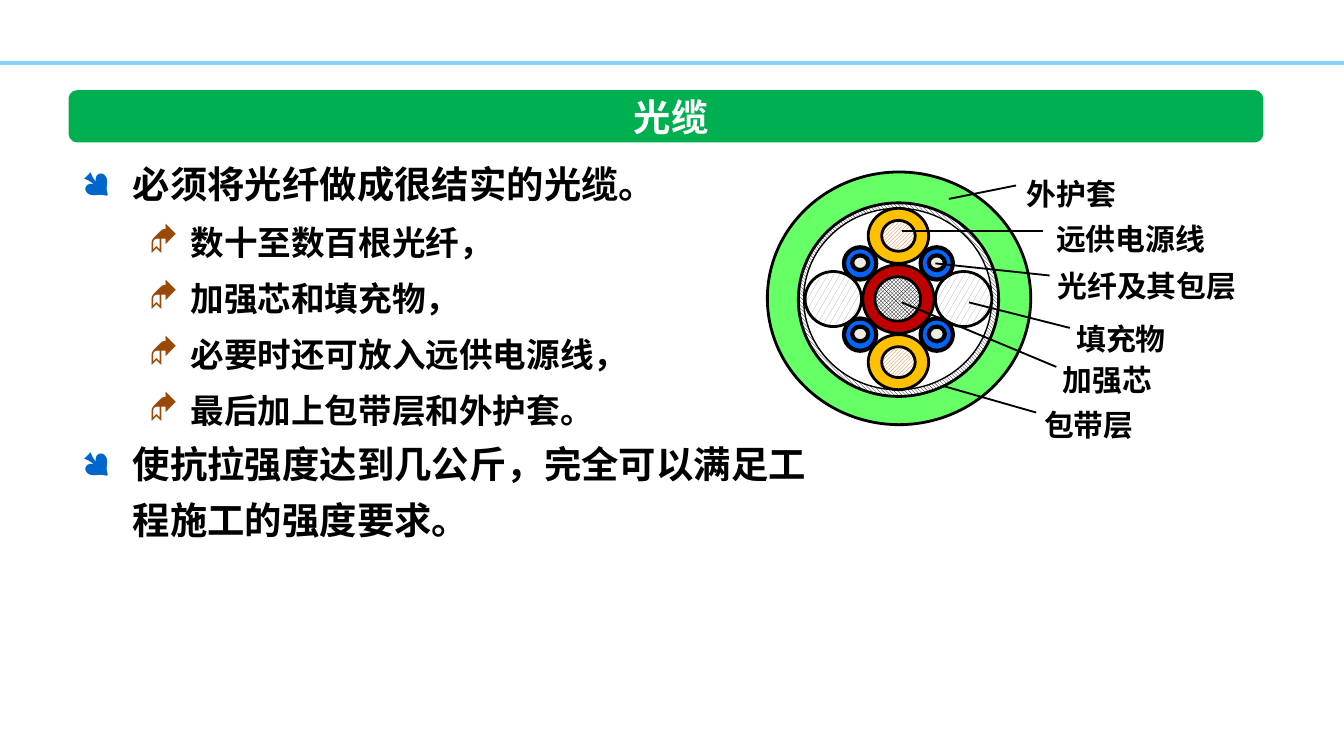
from dataclasses import dataclass
from itertools import product
from typing import Optional

from lxml.etree import SubElement
from pptx import Presentation
from pptx.dml.color import RGBColor
from pptx.enum.dml import MSO_PATTERN_TYPE as Pattern
from pptx.enum.shapes import MSO_CONNECTOR as Connector, MSO_SHAPE as Shape
from pptx.enum.text import MSO_ANCHOR as Anchor, MSO_AUTO_SIZE as AutoSize, PP_ALIGN as Align
from pptx.oxml.ns import qn
from pptx.util import Emu, Pt

FONT = "Noto Sans CJK SC"
BULLET_FONT = "Wingdings"
BLACK = RGBColor(0x00, 0x00, 0x00)
WHITE = RGBColor(0xFF, 0xFF, 0xFF)
SKY = RGBColor(0x85, 0xD1, 0xF7)
GREEN = RGBColor(0x00, 0xB0, 0x50)
SHEATH_GREEN = RGBColor(0x66, 0xFF, 0x66)
CORE_RED = RGBColor(0xC0, 0x00, 0x00)
WIRE_GOLD = RGBColor(0xFF, 0xC0, 0x00)
WIRE_ORANGE = RGBColor(0xE4, 0x6C, 0x0A)
FILLER_GREY = RGBColor(0xA6, 0xA6, 0xA6)
FIBRE_BLUE = RGBColor(0x00, 0x66, 0xFF)
FIBRE_CREAM = RGBColor(0xEE, 0xEC, 0xE1)
BULLET_BLUE = RGBColor(0x00, 0x66, 0xCC)
BULLET_BROWN = RGBColor(0x98, 0x48, 0x07)


def px(length: int) -> Emu:
    """Convert px, 100 to the inch, to EMU."""
    return Emu(length * 9144)


@dataclass(frozen=True)
class Ellipse:
    left: int
    top: int
    width: int
    height: int
    color: RGBColor
    pattern: Optional[Pattern] = None
    line_width: float = 1.5


@dataclass(frozen=True)
class Label:
    text: str
    left: int
    top: int
    width: int
    leader: tuple[int, int, int, int]


@dataclass(frozen=True)
class BulletStyle:
    level: int
    symbol: str
    color: RGBColor
    margin: int
    hanging: int
    size: int


MAIN = BulletStyle(0, "●", BULLET_BLUE, 38, 38, 20)
SUB = BulletStyle(1, "◆", BULLET_BROWN, 81, 31, 18)

BULLETS = [
    (MAIN, "必须将光纤做成很结实的光缆。"),
    (SUB, "数十至数百根光纤，"),
    (SUB, "加强芯和填充物，"),
    (SUB, "必要时还可放入远供电源线，"),
    (SUB, "最后加上包带层和外护套。"),
    (MAIN, "使抗拉强度达到几公斤，完全可以满足工程施工的强度要求。"),
]

CABLE_LAYERS = [
    Ellipse(571, 128, 196, 188, SHEATH_GREEN),
    Ellipse(594, 151, 149, 144, BLACK, Pattern.DARK_DOWNWARD_DIAGONAL),
    Ellipse(638, 193, 60, 58, WHITE),
    Ellipse(598, 155, 140, 135, WHITE, line_width=0.75),
    Ellipse(642, 197, 53, 51, CORE_RED),
    Ellipse(651, 206, 34, 33, BLACK, Pattern.SMALL_CHECKER_BOARD),
]
FILLERS = [Ellipse(left, 202, 42, 41, FILLER_GREY, Pattern.LARGE_CONFETTI) for left in (599, 696)]
POWER_WIRES = [
    ellipse
    for top in (155, 249)
    for ellipse in (
        Ellipse(646, top, 45, 41, WIRE_GOLD),
        Ellipse(656, top + 9, 25, 23, WIRE_ORANGE, Pattern.DARK_UPWARD_DIAGONAL),
    )
]
FIBRES = [
    ellipse
    for left, top in product((628, 685), (184, 237))
    for ellipse in (
        Ellipse(left, top, 24, 24, FIBRE_BLUE, line_width=2.25),
        Ellipse(left + 6, top + 6, 12, 11, FIBRE_CREAM, line_width=2.25),
    )
]

LABELS = [
    Label("外护套", 754, 126, 88, (706, 148, 756, 138)),
    Label("远供电源线", 776, 159, 132, (671, 172, 776, 172)),
    Label("光纤及其包层", 777, 194, 155, (696, 196, 781, 205)),
    Label("填充物", 791, 234, 88, (721, 225, 796, 244)),
    Label("加强芯", 781, 264, 88, (671, 225, 786, 273)),
    Label("包带层", 767, 298, 88, (701, 287, 771, 307)),
]


def format_runs(paragraph, size: int, color: RGBColor) -> None:
    for run in paragraph.runs:
        run.font.size = Pt(size)
        run.font.bold = True
        run.font.color.rgb = color
        run.font.name = FONT
        SubElement(run.font._element, qn("a:ea"), typeface=FONT)


def add_line(shapes, ends: tuple[int, int, int, int], color: RGBColor, width: float) -> None:
    connector = shapes.add_connector(Connector.STRAIGHT, *map(px, ends))
    connector.line.color.rgb = color
    connector.line.width = Pt(width)
    SubElement(connector._element.spPr, qn("a:effectLst"))


def add_ellipse(shapes, ellipse: Ellipse) -> None:
    box = map(px, (ellipse.left, ellipse.top, ellipse.width, ellipse.height))
    shape = shapes.add_shape(Shape.OVAL, *box)
    shape.shadow.inherit = False
    if ellipse.pattern is None:
        shape.fill.solid()
        shape.fill.fore_color.rgb = ellipse.color
    else:
        shape.fill.patterned()
        shape.fill.pattern = ellipse.pattern
        shape.fill.fore_color.rgb = ellipse.color
        shape.fill.back_color.rgb = WHITE
    shape.line.color.rgb = BLACK
    shape.line.width = Pt(ellipse.line_width)


def add_label(shapes, label: Label) -> None:
    """Add a caption and the leader line to its part of the cable."""
    box = shapes.add_textbox(px(label.left), px(label.top), px(label.width), px(37))
    frame = box.text_frame
    frame.word_wrap = False
    frame.auto_size = AutoSize.SHAPE_TO_FIT_TEXT
    frame.text = label.text
    format_runs(frame.paragraphs[0], 16, BLACK)
    add_line(shapes, label.leader, BLACK, 1)


def add_title(shapes, text: str) -> None:
    banner = shapes.add_shape(Shape.ROUNDED_RECTANGLE, px(51), px(67), px(889), px(39))
    banner.shadow.inherit = False
    banner.fill.solid()
    banner.fill.fore_color.rgb = GREEN
    banner.line.fill.background()
    frame = shapes.add_textbox(px(137), px(67), px(725), px(39)).text_frame
    frame.word_wrap = True
    frame.vertical_anchor = Anchor.MIDDLE
    frame.text = text
    frame.paragraphs[0].alignment = Align.CENTER
    format_runs(frame.paragraphs[0], 20, WHITE)


def add_bullet(paragraph, style: BulletStyle) -> None:
    properties = paragraph._p.get_or_add_pPr()
    properties.set("marL", str(px(style.margin)))
    properties.set("indent", str(-px(style.hanging)))
    bullet_color = SubElement(properties, qn("a:buClr"))
    SubElement(bullet_color, qn("a:srgbClr"), val=str(style.color))
    SubElement(properties, qn("a:buFont"), typeface=BULLET_FONT)
    SubElement(properties, qn("a:buChar"), char=style.symbol)


def add_body(shapes) -> None:
    frame = shapes.add_textbox(px(51), px(107), px(577), px(347)).text_frame
    frame.word_wrap = True
    frame.text = "\n".join(text for _, text in BULLETS)
    for paragraph, (style, _) in zip(frame.paragraphs, BULLETS):
        add_bullet(paragraph, style)
        paragraph.level = style.level
        paragraph.line_spacing = Pt(30)
        format_runs(paragraph, style.size, BLACK)


def main() -> None:
    presentation = Presentation()
    presentation.slide_width = px(1000)
    presentation.slide_height = Emu(presentation.slide_width * 9 // 16)
    slide = presentation.slides.add_slide(presentation.slide_layouts[6])
    add_line(slide.shapes, (0, 47, 1000, 47), SKY, 2)
    add_title(slide.shapes, "光缆")
    add_body(slide.shapes)
    cable = slide.shapes.add_group_shape().shapes
    for ellipse in CABLE_LAYERS + FILLERS + POWER_WIRES + FIBRES:
        add_ellipse(cable, ellipse)
    for label in LABELS:
        add_label(cable, label)
    presentation.save("out.pptx")


if __name__ == "__main__":
    main()
